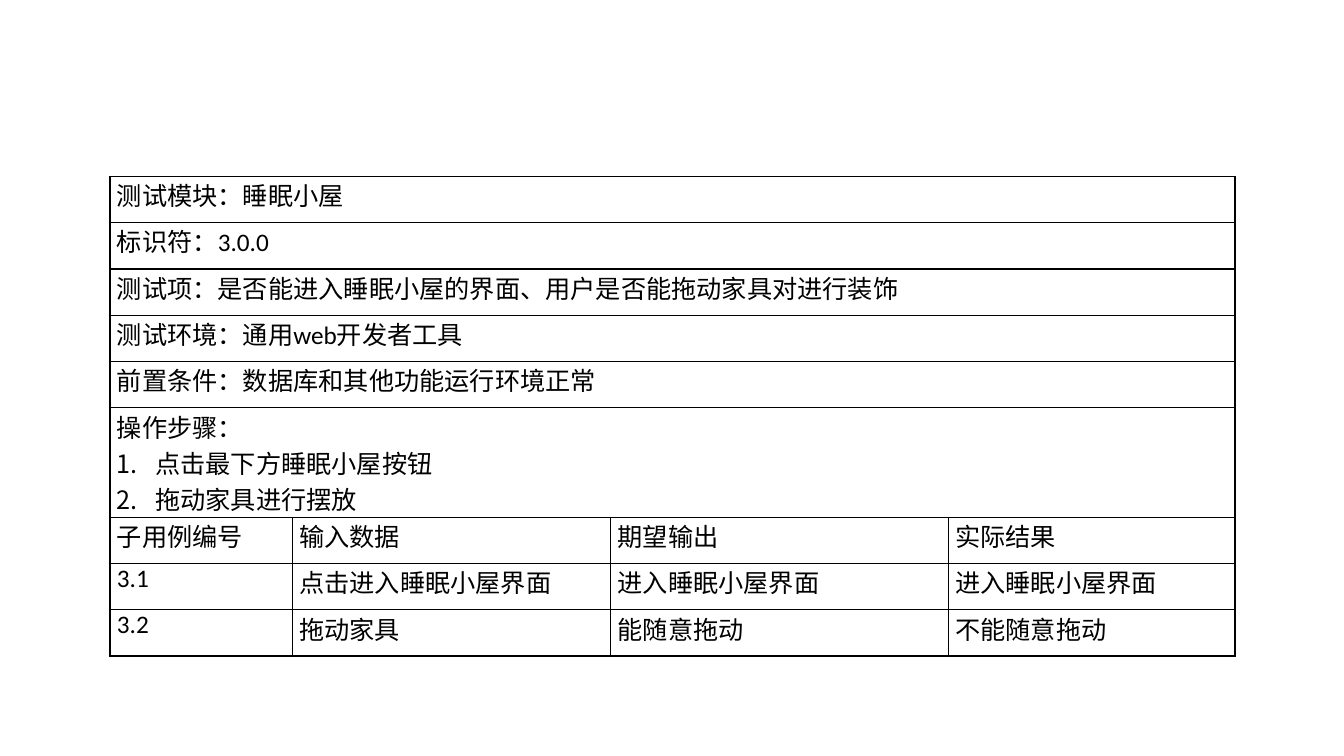
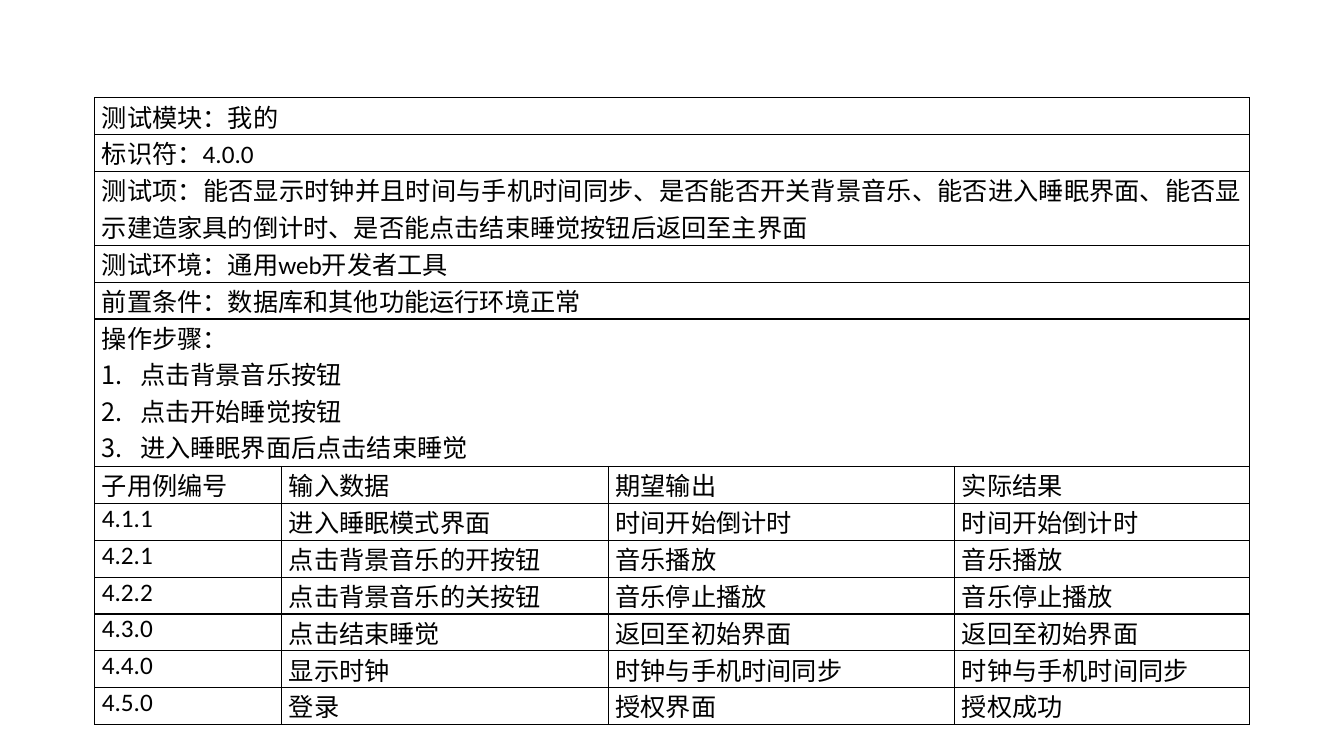
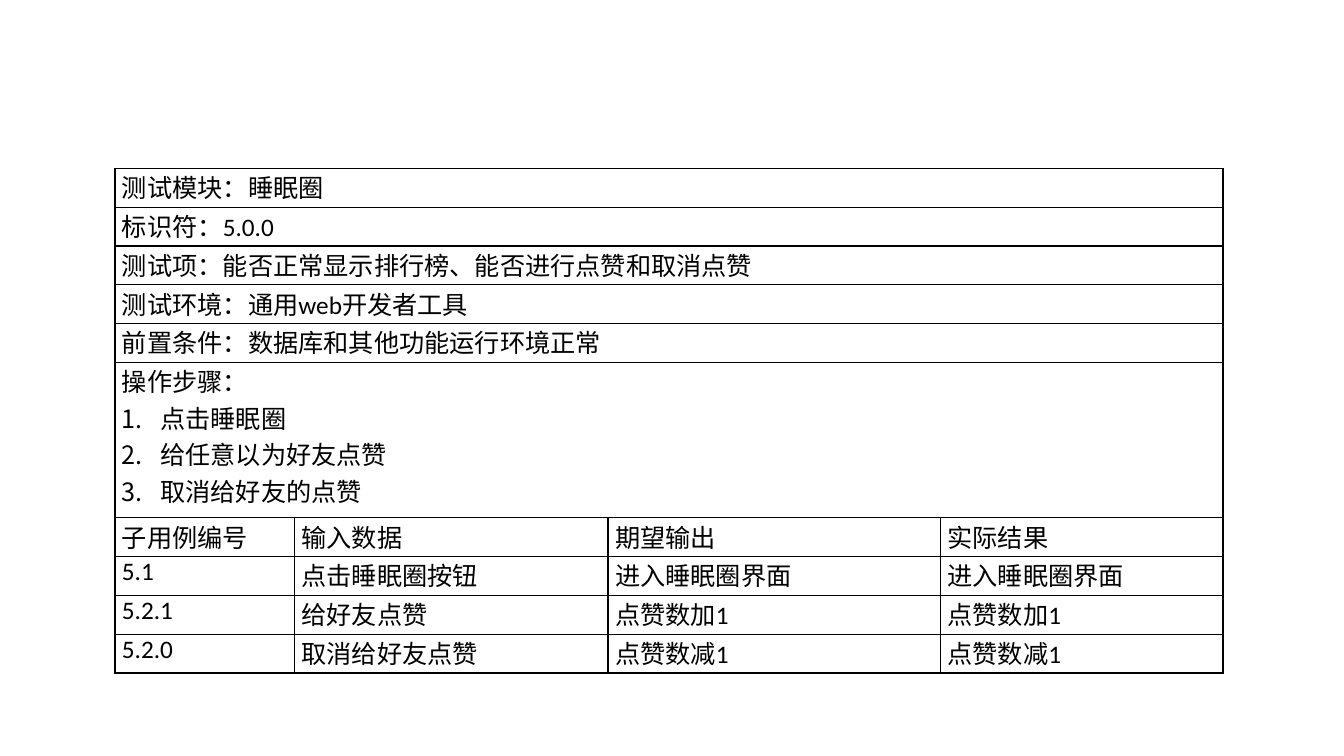
import pptx
import pptx.dml.color
import pptx.enum.lang
import pptx.enum.text
import pptx.oxml
import pptx.oxml.ns
import pptx.util
from dataclasses import dataclass, field

Inch = pptx.util.Inches


@dataclass(frozen=True)
class Theme:
    ink: str = "000000"
    rule: float = 1
    indent: float = 0.38
    cols: tuple = (1.62, 2.83, 3, 2.55)
    font: dict = field(default_factory=lambda: {
        "name": "Calibri",
        "size": pptx.util.Pt(18),
        "language_id": pptx.enum.lang.MSO_LANGUAGE_ID.SIMPLIFIED_CHINESE,
    })
    cell: dict = field(default_factory=lambda: {
        "margin_left": Inch(0.07),
        "margin_right": Inch(0.07),
        "margin_top": 0,
        "margin_bottom": 0,
    })
    grid: dict = field(default_factory=lambda: {
        "first_row": False,
        "horz_banding": False,
    })


THEME = Theme()
TOOLS = "通用web开发者工具"
READY = "数据库和其他功能运行环境正常"
HEADS = ("子用例编号", "输入数据", "期望输出", "实际结果")

# box is left, top, width, height in inches; tall gives the row heights
# of the item and steps rows, counted in plain rows
CASES = [
    {
        "box": (1.09, 1.75, 11.16, 4.73),
        "tall": (1, 2.3),
        "name": "睡眠小屋",
        "id": "3.0.0",
        "item": "是否能进入睡眠小屋的界面、用户是否能拖动家具对进行装饰",
        "steps": ["点击最下方睡眠小屋按钮", "拖动家具进行摆放"],
        "tests": [
            ("3.1", "点击进入睡眠小屋界面", "进入睡眠小屋界面", "进入睡眠小屋界面"),
            ("3.2", "拖动家具", "能随意拖动", "不能随意拖动"),
        ],
    },
    {
        "box": (0.94, 0.97, 11.45, 6.22),
        "tall": (2, 4),
        "name": "我的",
        "id": "4.0.0",
        "item": "能否显示时钟并且时间与手机时间同步、是否能否开关背景音乐、"
                "能否进入睡眠界面、能否显示建造家具的倒计时、"
                "是否能点击结束睡觉按钮后返回至主界面",
        "steps": ["点击背景音乐按钮", "点击开始睡觉按钮", "进入睡眠界面后点击结束睡觉"],
        "tests": [
            ("4.1.1", "进入睡眠模式界面", "时间开始倒计时", "时间开始倒计时"),
            ("4.2.1", "点击背景音乐的开按钮", "音乐播放", "音乐播放"),
            ("4.2.2", "点击背景音乐的关按钮", "音乐停止播放", "音乐停止播放"),
            ("4.3.0", "点击结束睡觉", "返回至初始界面", "返回至初始界面"),
            ("4.4.0", "显示时钟", "时钟与手机时间同步", "时钟与手机时间同步"),
            ("4.5.0", "登录", "授权界面", "授权成功"),
        ],
    },
    {
        "box": (1.14, 1.67, 10.99, 5.01),
        "tall": (1, 4),
        "name": "睡眠圈",
        "id": "5.0.0",
        "item": "能否正常显示排行榜、能否进行点赞和取消点赞",
        "steps": ["点击睡眠圈", "给任意以为好友点赞", "取消给好友的点赞"],
        "tests": [
            ("5.1", "点击睡眠圈按钮", "进入睡眠圈界面", "进入睡眠圈界面"),
            ("5.2.1", "给好友点赞", "点赞数加1", "点赞数加1"),
            ("5.2.0", "取消给好友点赞", "点赞数减1", "点赞数减1"),
        ],
    },
]


def apply(thing, values):
    for key, value in values.items():
        setattr(thing, key, value)


def split(total, parts):
    """Share a length in inches out by weight."""
    return [Inch(total * part / sum(parts)) for part in parts]


def number(para):
    props = para._p.get_or_add_pPr()
    props.set("marL", str(Inch(THEME.indent)))
    props.set("indent", str(-Inch(THEME.indent)))
    props.append(pptx.oxml.parse_xml(
        f'<a:buAutoNum {pptx.oxml.ns.nsdecls("a")} type="arabicPeriod"/>'))


def frame(cell):
    """Clear the cell's fill and rule its four sides."""
    cell.fill.background()
    props = cell._tc.get_or_add_tcPr()
    for place, side in enumerate("LRTB"):
        props.insert(place, pptx.oxml.parse_xml(
            f'<a:ln{side} {pptx.oxml.ns.nsdecls("a")} '
            f'w="{pptx.util.Pt(THEME.rule)}"><a:solidFill>'
            f'<a:srgbClr val="{THEME.ink}"/></a:solidFill></a:ln{side}>'))


def write(cell, lines):
    """Fill a cell; every line after the first is a numbered step."""
    for place, line in enumerate(lines):
        body = cell.text_frame
        para = body.add_paragraph() if place else body.paragraphs[0]
        if place:
            number(para)
        para.alignment = pptx.enum.text.PP_ALIGN.JUSTIFY
        run = para.add_run()
        run.text = line
        apply(run.font, THEME.font)
        run.font.color.rgb = pptx.dml.color.RGBColor.from_string(THEME.ink)


def sheet(slide, case):
    """Draw one test case as a table in its box."""
    left, top, width, height = case["box"]
    item, steps = case["tall"]
    wide = [
        ["测试模块：" + case["name"]],
        ["标识符：" + case["id"]],
        ["测试项：" + case["item"]],
        ["测试环境：" + TOOLS],
        ["前置条件：" + READY],
        ["操作步骤：", *case["steps"]],
    ]
    tests = [HEADS, *case["tests"]]
    sizes = [1, 1, item, 1, 1, steps] + [1] * len(tests)
    table = slide.shapes.add_table(
        len(sizes), len(THEME.cols),
        *map(Inch, (left, top, width, height))).table
    apply(table, THEME.grid)
    for col, size in zip(table.columns, split(width, THEME.cols)):
        col.width = size
    for row, size in zip(table.rows, split(height, sizes)):
        row.height = size
    for cell in table.iter_cells():
        apply(cell, THEME.cell)
        frame(cell)
    for row, lines in enumerate(wide):
        first = table.cell(row, 0)
        first.merge(table.cell(row, len(THEME.cols) - 1))
        write(first, lines)
    for row, texts in enumerate(tests, len(wide)):
        for col, text in enumerate(texts):
            write(table.cell(row, col), [text])


def main():
    deck = pptx.Presentation()
    apply(deck, {"slide_width": Inch(13.33), "slide_height": Inch(7.5)})
    for case in CASES:
        sheet(deck.slides.add_slide(deck.slide_layouts[6]), case)
    deck.save("out.pptx")


if __name__ == "__main__":
    main()
